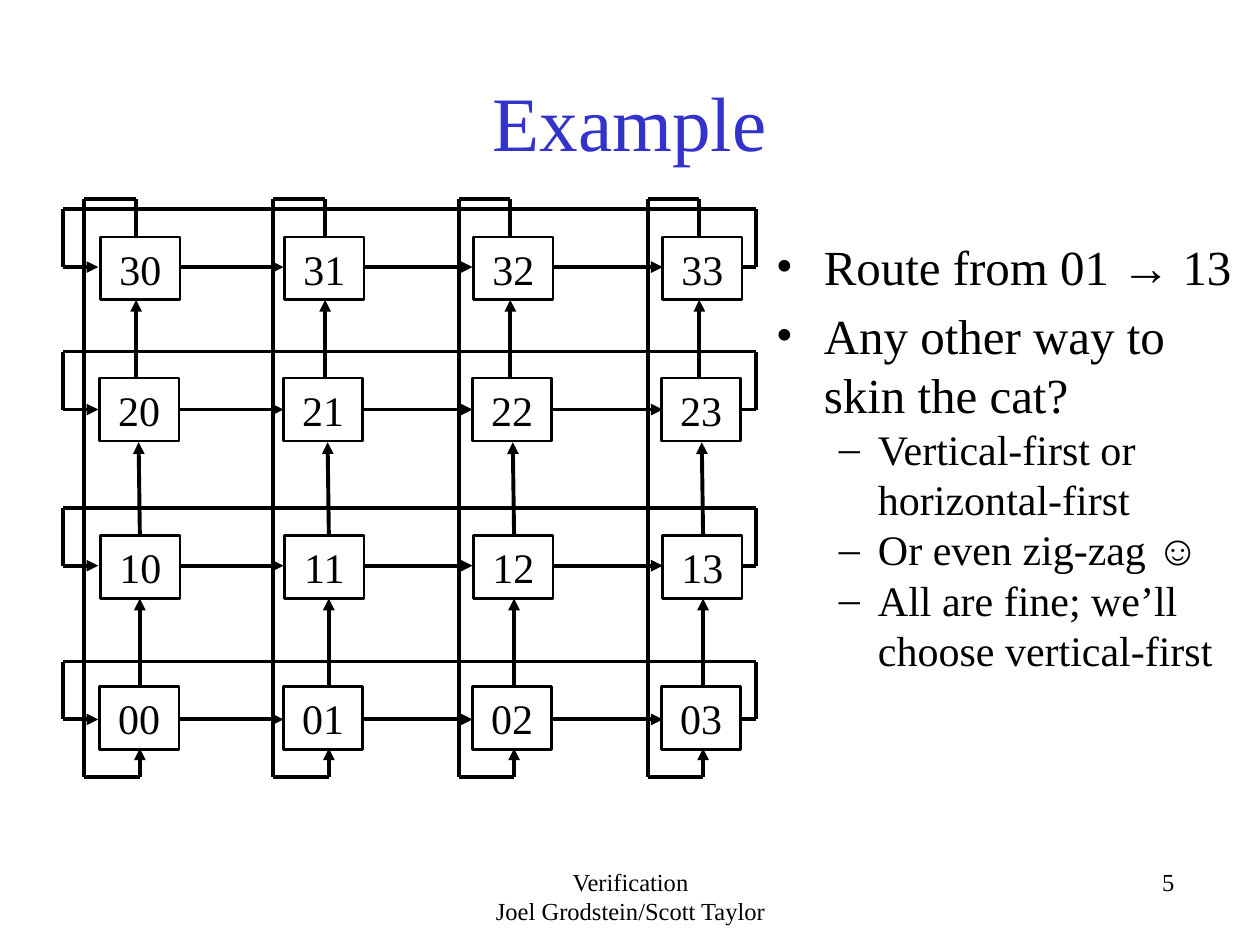
import pptx
import pptx.dml.color
import pptx.enum.shapes
import pptx.enum.text
import pptx.oxml.ns
import pptx.util
import lxml.etree

Inches = pptx.util.Inches
Pt = pptx.util.Pt
Align = pptx.enum.text.PP_ALIGN
Anchor = pptx.enum.text.MSO_ANCHOR
BLACK = pptx.dml.color.RGBColor(0, 0, 0)
WHITE = pptx.dml.color.RGBColor(255, 255, 255)
BLUE = pptx.dml.color.RGBColor(0x33, 0x33, 0xCC)


def add(parent, tag, **attrs):
    return lxml.etree.SubElement(parent, pptx.oxml.ns.qn(tag), **attrs)


class Sketch:
    font = "Times New Roman"
    wire = Pt(2.25)
    edge = Pt(1.5)

    def __init__(self, slide):
        self.slide = slide

    def text(self, par, words, size, color=BLACK, align=Align.LEFT):
        par.alignment = align
        run = par.add_run()
        run.text = words
        run.font.name = self.font
        run.font.size = Pt(size)
        run.font.color.rgb = color

    def frame(self, left, top, width, height, anchor=Anchor.TOP):
        shape = self.slide.shapes.add_textbox(
            Inches(left), Inches(top), Inches(width), Inches(height))
        frame = shape.text_frame
        frame.word_wrap = True
        frame.vertical_anchor = anchor
        return frame

    def label(self, spot, lines, size, align, color=BLACK, anchor=Anchor.TOP):
        frame = self.frame(*spot, anchor)
        for i, words in enumerate(lines):
            par = frame.add_paragraph() if i else frame.paragraphs[0]
            self.text(par, words, size, color, align)

    def bullets(self, spot, items):
        looks = [("•", 28, 0.38, 0.38, 5.6), ("–", 24, 0.81, 0.31, 0)]
        frame = self.frame(*spot)
        for i, (level, words) in enumerate(items):
            mark, size, left, hang, gap = looks[level]
            par = frame.add_paragraph() if i else frame.paragraphs[0]
            par.level = level
            props = par._p.get_or_add_pPr()
            props.set("marL", str(Inches(left)))
            props.set("indent", str(-Inches(hang)))
            add(props, "a:buFont", typeface=self.font)
            add(props, "a:buChar", char=mark)
            par.space_before = Pt(gap if i else 0)
            self.text(par, words, size)

    def line(self, start, end, arrow=False):
        line = self.slide.shapes.add_connector(
            pptx.enum.shapes.MSO_CONNECTOR.STRAIGHT,
            *(Inches(n) for n in (*start, *end)))
        line.line.color.rgb = BLACK
        line.line.width = self.wire
        if arrow:
            add(line.line._get_or_add_ln(), "a:tailEnd", type="triangle")
        add(line._element.spPr, "a:effectLst")

    def node(self, left, top, words):
        box = self.slide.shapes.add_shape(
            pptx.enum.shapes.MSO_SHAPE.RECTANGLE,
            Inches(left), Inches(top), Inches(0.63), Inches(0.5))
        box.shadow.inherit = False
        box.fill.solid()
        box.fill.fore_color.rgb = WHITE
        box.line.color.rgb = BLACK
        box.line.width = self.edge
        frame = box.text_frame
        frame.word_wrap = True
        frame.vertical_anchor = Anchor.TOP
        self.text(frame.paragraphs[0], words, 24, align=Align.CENTER)

    def row(self, y):
        west, east, top = 0.5, 6, y - 0.46
        self.line((east, y), (5.79, y))
        self.line((east, y), (east, top))
        self.line((east, top), (west, top))
        self.line((west, top), (west, y))
        for start, end in [(west, 0.78), (1.42, 2.25), (2.87, 3.75), (4.37, 5.26)]:
            self.line((start, y), (end, y), True)

    def column(self, bus):
        north, south = 1.58, 6.17
        high, mid, low = bus + 0.41, bus + 0.43, bus + 0.44
        self.line((high, 2), (high, north))
        self.line((high, north), (bus, north))
        self.line((bus, north), (bus, south))
        self.line((bus, south), (low, south))
        self.line((low, south), (low, 5.94), True)
        self.line((low, 5.45), (low, 4.75), True)
        self.line((low, 4.24), (mid, 3.51), True)
        self.line((high, 3.14), (high, 2.38), True)


def main():
    deck = pptx.Presentation()
    deck.slide_width = Inches(10)
    deck.slide_height = Inches(7.5)
    sketch = Sketch(deck.slides.add_slide(deck.slide_layouts[6]))

    sketch.label((0.75, 0.33, 8.5, 1.25), ["Example"], 44, Align.CENTER,
                 BLUE, Anchor.MIDDLE)
    for y in (5.71, 4.49, 3.25, 2.12):
        sketch.row(y)
    for bus in (0.67, 2.17, 3.64, 5.14):
        sketch.column(bus)
    for r, top in enumerate((5.45, 4.25, 3, 1.88)):
        for c, left in enumerate((0.79, 2.25, 3.75, 5.25)):
            sketch.node(left + 0.01 * (r % 2), top, f"{r}{c}")

    sketch.bullets((6.06, 1.83, 3.91, 3.61), [
        (0, "Route from 01 → 13"),
        (0, "Any other way to skin the cat?"),
        (1, "Vertical-first or horizontal-first"),
        (1, "Or even zig-zag ☺"),
        (1, "All are fine; we’ll choose vertical-first"),
    ])
    sketch.label((3.42, 6.83, 3.17, 0.5),
                 ["Verification", "Joel Grodstein/Scott Taylor"], 14, Align.CENTER)
    sketch.label((6.25, 6.83, 3.17, 0.5), ["5"], 14, Align.RIGHT)
    deck.save("out.pptx")


if __name__ == "__main__":
    main()
